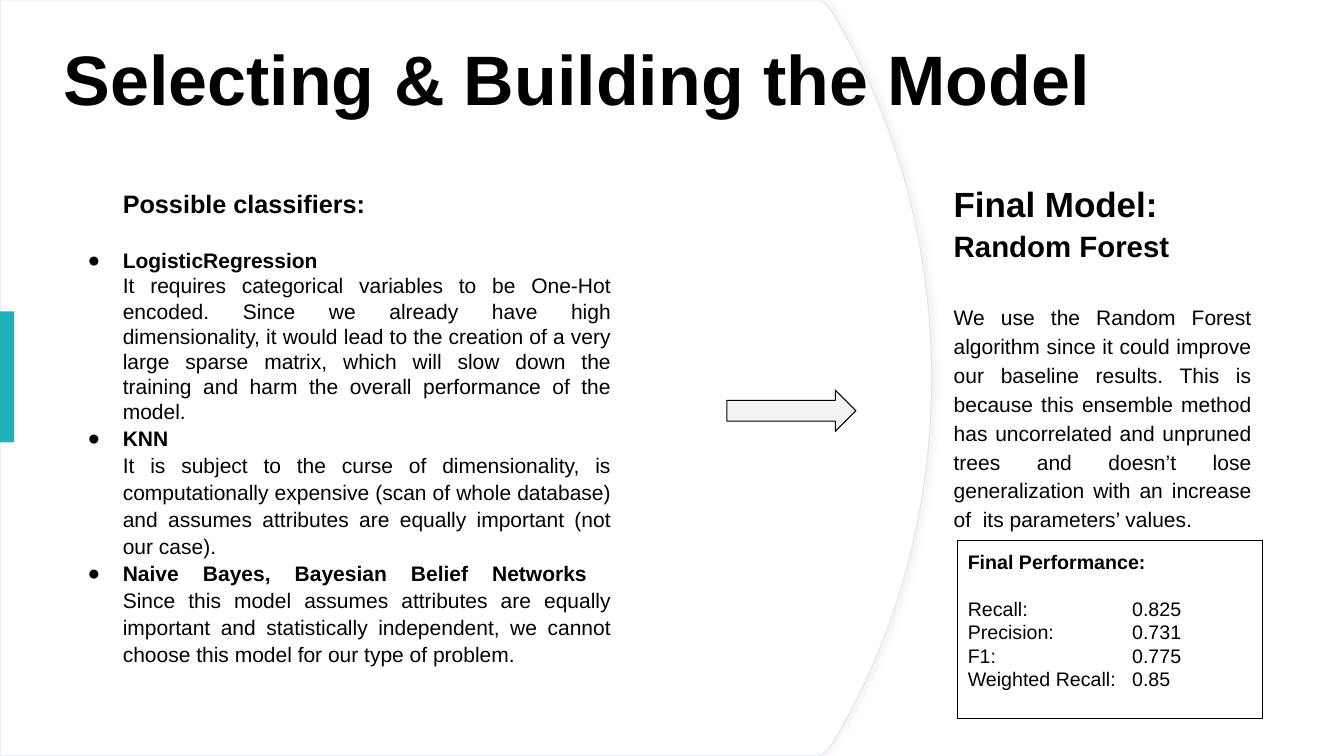
from lxml import etree
from pptx import Presentation, util as u
from pptx.dml.color import RGBColor
from pptx.enum import shapes, text
from pptx.oxml import ns

BLACK = RGBColor(0x00, 0x00, 0x00)
WHITE = RGBColor(0xFF, 0xFF, 0xFF)
TEAL = RGBColor(0x21, 0xB1, 0xBB)
PALE_GREY = RGBColor(0xF3, 0xF3, 0xF3)
PALE_BLUE = RGBColor(0xDF, 0xE5, 0xF2)
SHADOW = RGBColor(0xD8, 0xD8, 0xD8)
FONT = "Arial"
W, H = u.Inches(13.33), u.Inches(7.5)
CLASSIFIERS = [
    ("LogisticRegression", 1.0,
     "It requires categorical variables to be One-Hot encoded. Since we already have high "
     "dimensionality, it would lead to the creation of a very large sparse matrix, which will "
     "slow down the training and harm the overall performance of the model."),
    ("KNN ", 1.07,
     "It is subject to the curse of dimensionality, is computationally expensive (scan of whole "
     "database) and assumes attributes are equally important (not our case)."),
    ("Naive Bayes, Bayesian Belief Networks ", 1.07,
     "Since this model assumes attributes are equally important and statistically independent, "
     "we cannot choose this model for our type of problem."),
]
REASON = ("We use the Random Forest algorithm since it could improve our baseline results. This is "
          "because this ensemble method has uncorrelated and unpruned trees and doesn’t lose "
          "generalization with an increase of  its parameters’ values.")
METRICS = [("Recall:", "0.825"), ("Precision:", "0.731"), ("F1:", "0.775"),
           ("Weighted Recall:", "0.85")]


def grid(col, row, cols, rows):
    return (int(W * col / 100), int(H * row / 100), int(W * cols / 100), int(H * rows / 100))


def add_child(parent, tag, **attrs):
    return etree.SubElement(parent, ns.qn(tag), attrs)


def add_run(p, words, size, bold=False):
    r = p.add_run()
    r.text = words
    r.font.name, r.font.size, r.font.bold = FONT, u.Pt(size), bold
    r.font.color.rgb = BLACK


def add_paragraph(tf, first=False, justify=False, spacing=1.0, after=0):
    p = tf.paragraphs[0] if first else tf.add_paragraph()
    p.alignment = text.PP_ALIGN.JUSTIFY if justify else text.PP_ALIGN.LEFT
    p.line_spacing, p.space_before, p.space_after = spacing, u.Pt(0), u.Pt(after)
    return p


def prepare_frame(sp, anchor, inset):
    tf = sp.text_frame
    tf.word_wrap, tf.vertical_anchor = True, anchor
    tf.margin_top = tf.margin_bottom = u.Inches(inset)
    return tf


def style(sp, fill=None, line=None):
    sp.shadow.inherit = False
    if fill is None:
        sp.fill.background()
    else:
        sp.fill.solid()
        sp.fill.fore_color.rgb = fill
    if line is None:
        sp.line.fill.background()
    else:
        sp.line.color.rgb, sp.line.width = line, u.Pt(0.75)


def curve(points, steps=30):
    a, b, c, d = points
    for i in range(steps + 1):
        t = i / steps
        yield tuple((1 - t) ** 3 * a[k] + 3 * (1 - t) ** 2 * t * b[k]
                    + 3 * (1 - t) * t ** 2 * c[k] + t ** 3 * d[k] for k in (0, 1))


def add_panel(s, box):
    x, y, w, h = box
    upper = [(0.88, 0)] + list(curve([(0.89, 0.01), (0.96, 0.15), (1, 0.32), (1, 0.5)]))
    lower = [(px, 1 - py) for px, py in reversed(upper[:-1])]
    outline = [(int(x + px * w), int(y + py * h)) for px, py in upper + lower + [(0, 1)]]
    builder = s.shapes.build_freeform(x, y)
    builder.add_line_segments(outline, close=True)
    sp = builder.convert_to_shape()
    style(sp, WHITE, PALE_BLUE)
    effects = sp._element.spPr.find(ns.qn("a:effectLst"))
    shadow = add_child(effects, "a:outerShdw", blurRad=str(u.Pt(4)), dist=str(u.Pt(3)),
                       dir="0", algn="l", rotWithShape="0")
    colour = add_child(shadow, "a:srgbClr", val=str(SHADOW))
    add_child(colour, "a:alpha", val="30000")


def add_title(s, box):
    sp = s.shapes.title
    sp.left, sp.top, sp.width, sp.height = box
    tf = prepare_frame(sp, text.MSO_ANCHOR.MIDDLE, 0.05)
    tf.auto_size = text.MSO_AUTO_SIZE.NONE
    p = add_paragraph(tf, first=True, spacing=0.9)
    add_run(p, "Selecting & Building the Model", 50, True)


def add_final_model(s, box):
    tf = prepare_frame(s.shapes.add_textbox(*box), text.MSO_ANCHOR.MIDDLE, 0.05)
    tf.margin_bottom = u.Inches(0.31)
    add_run(add_paragraph(tf, first=True, spacing=1.1), "Final Model:", 25, True)
    add_run(add_paragraph(tf, spacing=1.1, after=26.5), "Random Forest", 21, True)
    add_run(add_paragraph(tf, justify=True, spacing=1.15), REASON, 15)


def add_classifiers(s, box):
    tf = prepare_frame(s.shapes.add_textbox(*box), text.MSO_ANCHOR.TOP, 0.1)
    p = add_paragraph(tf, first=True, justify=True, after=20.7)
    p._p.get_or_add_pPr().set("marL", str(u.Inches(0.5)))
    add_run(p, "Possible classifiers:", 18, True)
    for name, spacing, reason in CLASSIFIERS:
        p = add_paragraph(tf, justify=True, spacing=spacing)
        pPr = p._p.get_or_add_pPr()
        pPr.set("marL", str(u.Inches(0.5)))
        pPr.set("indent", str(u.Inches(-0.35)))
        add_child(add_child(pPr, "a:buClr"), "a:srgbClr", val=str(BLACK))
        add_child(pPr, "a:buFont", typeface=FONT)
        add_child(pPr, "a:buChar", char="●")
        add_run(p, name, 15, True)
        p.add_line_break()
        add_run(p, reason, 15)


def add_bar(s, box):
    style(s.shapes.add_shape(shapes.MSO_SHAPE.RECTANGLE, *box), TEAL)


def add_arrow(s, box):
    style(s.shapes.add_shape(shapes.MSO_SHAPE.RIGHT_ARROW, *box), PALE_GREY, BLACK)


def add_performance(s, box):
    sp = s.shapes.add_shape(shapes.MSO_SHAPE.RECTANGLE, *box)
    style(sp, line=BLACK)
    tf = prepare_frame(sp, text.MSO_ANCHOR.TOP, 0.1)
    p = add_paragraph(tf, first=True, after=16.1)
    add_run(p, "Final Performance:", 14, True)
    for label, value in METRICS:
        p = add_paragraph(tf)
        tabs = add_child(p._p.get_or_add_pPr(), "a:tabLst")
        add_child(tabs, "a:tab", pos=str(u.Inches(1.63)), algn="l")
        add_run(p, f"{label}\t{value}", 14)


def main():
    prs = Presentation()
    prs.slide_width, prs.slide_height = W, H
    s = prs.slides.add_slide(prs.slide_layouts[5])
    add_panel(s, grid(0, 0, 69.32, 100))
    title = s.shapes.title._element
    title.getparent().append(title)
    add_title(s, grid(3.98, -1.33, 94.15, 24.67))
    add_final_model(s, grid(70.22, 21.47, 23.63, 54.53))
    add_bar(s, grid(0, 41.2, 1.05, 17.33))
    add_classifiers(s, grid(4.65, 23.6, 41.56, 62.67))
    add_arrow(s, grid(54.09, 51.6, 9.6, 5.47))
    add_performance(s, grid(71.27, 71.47, 22.66, 23.6))
    prs.save("out.pptx")


if __name__ == "__main__":
    main()
